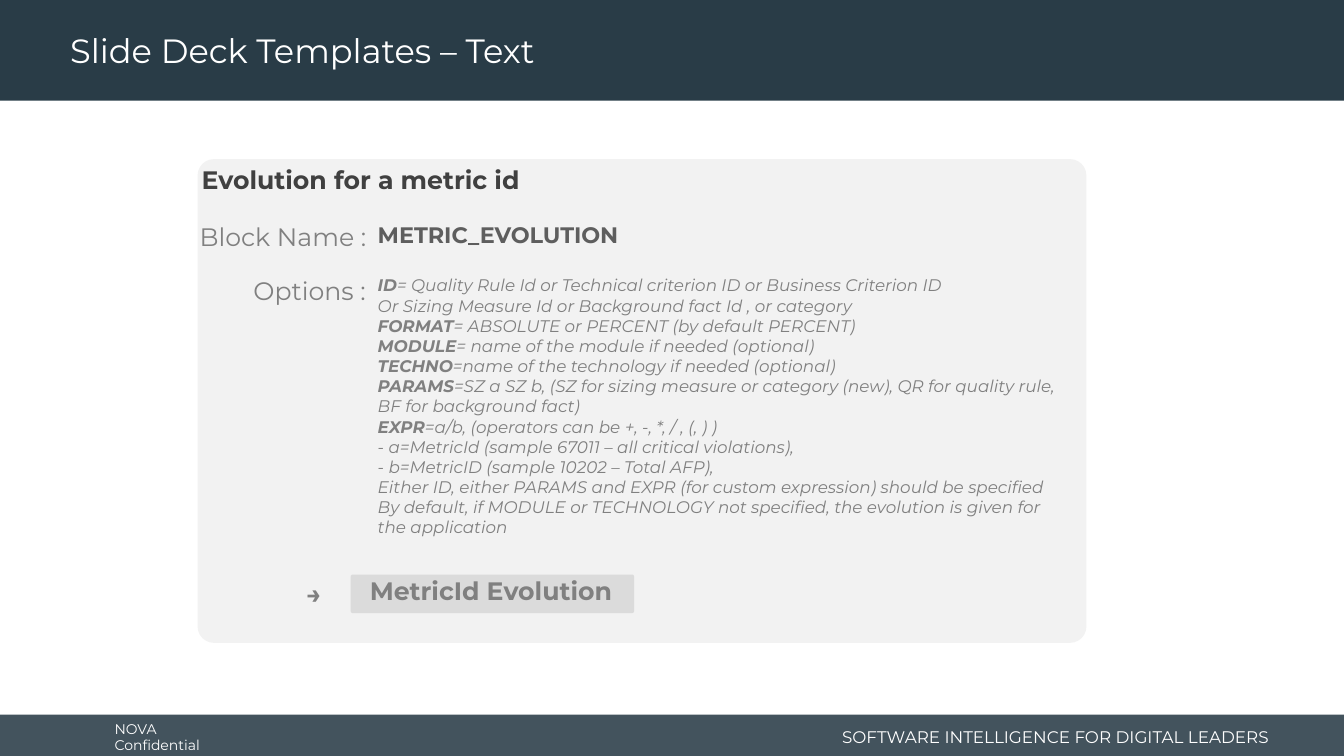
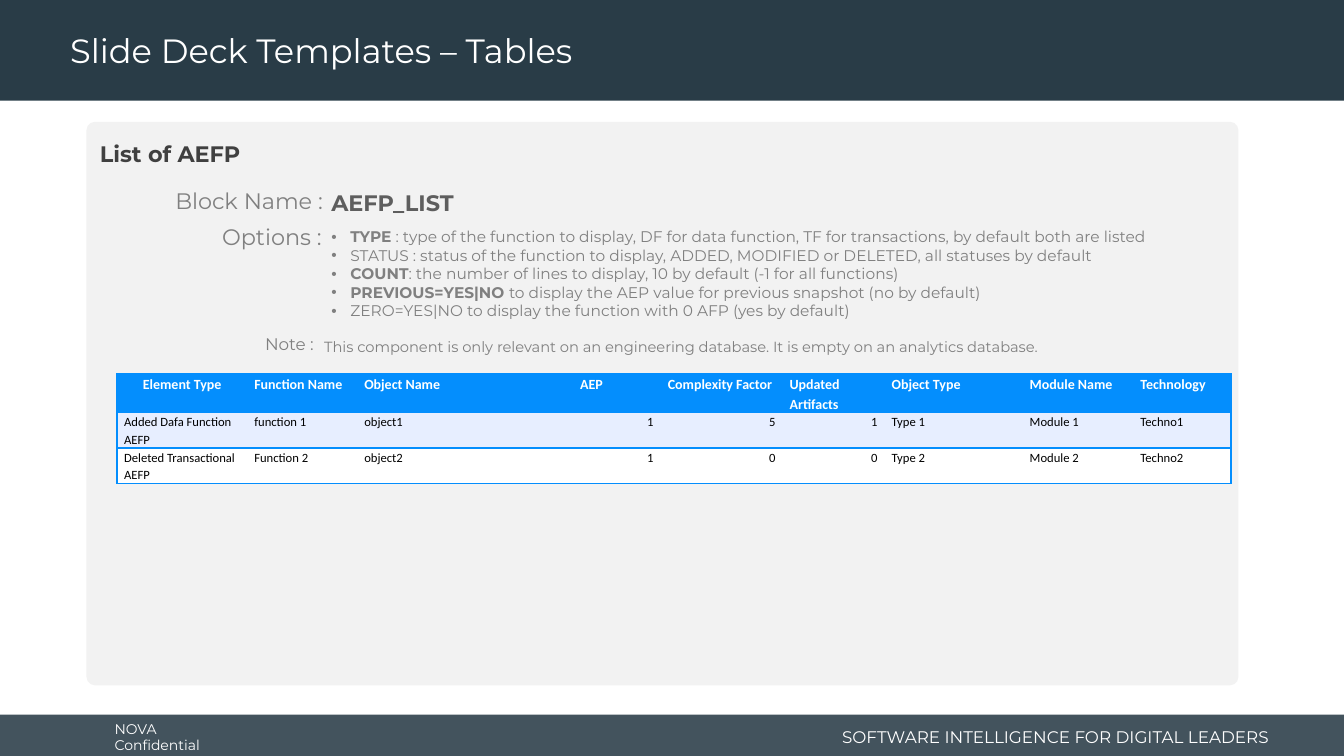
from dataclasses import dataclass

from lxml import etree
from pptx import Presentation
from pptx import dml, oxml, util as u
from pptx.dml import color as dml_color
from pptx.enum import shapes, text
from pptx.oxml import ns
from pptx.slide import Slide
from pptx.table import _Cell
from pptx.text.text import TextFrame, _Paragraph

NAVY, WHITE, BLACK = "293C47", "FFFFFF", "000000"
PANEL, RESULT = "F2F2F2", "BFBFBF"
HEADING, BLOCK, BODY = "404040", "5E5E5E", "808080"
TABLE_BLUE, TABLE_TINT = "048EFD", "E7EEFF"
BODY_FONT, TABLE_FONT = "Montserrat", "Calibri"
LEFT, CENTER, RIGHT = text.PP_ALIGN.LEFT, text.PP_ALIGN.CENTER, text.PP_ALIGN.RIGHT
WIDTH, HEIGHT = 33.87, 19.05
NO_STYLE = "{2D5ABB26-0587-4C30-8999-92F81FD0307C}"

Box = tuple[float, float, float, float]
Line = tuple[str, str]


@dataclass(frozen=True)
class Style:
    size: float
    color: str = BODY
    bold: bool = False
    italic: bool = False
    align: text.PP_ALIGN = LEFT
    font: str = BODY_FONT
    spacing: float | None = None


@dataclass(frozen=True)
class Label:
    box: Box
    lines: tuple[Line, ...]
    style: Style
    wrap: bool = True
    middle: bool = False
    bullets: bool = False
    side_inset: float = 0.25


@dataclass(frozen=True)
class Block:
    box: Box
    color: str
    corner: float = 0
    opacity: int = 100


@dataclass(frozen=True)
class Column:
    width: float
    cells: tuple[str, str, str]
    align: text.PP_ALIGN = LEFT
    header_align: text.PP_ALIGN = LEFT


def rgb(value: str) -> dml_color.RGBColor:
    return dml_color.RGBColor.from_string(value)


def plain(content: str) -> tuple[Line, ...]:
    return (("", content),)


def draw_block(slide: Slide, block: Block) -> None:
    kind = shapes.MSO_SHAPE.ROUNDED_RECTANGLE if block.corner else shapes.MSO_SHAPE.RECTANGLE
    shape = slide.shapes.add_shape(kind, *map(u.Cm, block.box))
    if block.corner:
        shape.adjustments[0] = block.corner
    shape.shadow.inherit = False
    shape.line.fill.background()
    shape.fill.solid()
    shape.fill.fore_color.rgb = rgb(block.color)
    if block.opacity < 100:
        fill_color = shape._element.spPr.find(".//" + ns.qn("a:srgbClr"))
        etree.SubElement(fill_color, ns.qn("a:alpha"), val=str(block.opacity * 1000))


def add_bullet(paragraph: _Paragraph) -> None:
    properties = paragraph._p.get_or_add_pPr()
    indent = u.Cm(0.48)
    properties.set("marL", str(indent))
    properties.set("indent", str(-indent))
    etree.SubElement(properties, ns.qn("a:buFont"), typeface="Arial")
    etree.SubElement(properties, ns.qn("a:buChar"), char="•")


def write_line(paragraph: _Paragraph, line: Line, style: Style) -> None:
    paragraph.alignment = style.align
    if style.spacing:
        paragraph.line_spacing = style.spacing
    font = paragraph.font
    font.name, font.size = style.font, u.Pt(style.size)
    font.bold, font.italic = style.bold, style.italic
    font.color.rgb = rgb(style.color)
    keyword, rest = line
    if keyword:
        run = paragraph.add_run()
        run.text = keyword
        run.font.bold = True
    if rest:
        paragraph.add_run().text = rest


def write_lines(frame: TextFrame, label: Label) -> None:
    for index, line in enumerate(label.lines):
        paragraph = frame.add_paragraph() if index else frame.paragraphs[0]
        if label.bullets:
            add_bullet(paragraph)
        write_line(paragraph, line, label.style)


def draw_label(slide: Slide, label: Label) -> None:
    frame = slide.shapes.add_textbox(*map(u.Cm, label.box)).text_frame
    frame.word_wrap = label.wrap
    frame.margin_left = frame.margin_right = u.Cm(label.side_inset)
    if label.middle:
        frame.vertical_anchor = text.MSO_ANCHOR.MIDDLE
    else:
        frame.auto_size = text.MSO_AUTO_SIZE.SHAPE_TO_FIT_TEXT
    write_lines(frame, label)


def add_border(cell: _Cell, side: str) -> None:
    border = etree.SubElement(cell._tc.get_or_add_tcPr(), ns.qn(f"a:ln{side}"), w=str(u.Pt(1)))
    fill = etree.SubElement(border, ns.qn("a:solidFill"))
    etree.SubElement(fill, ns.qn("a:srgbClr"), val=TABLE_BLUE)


def draw_table(slide: Slide, left: float, top: float, columns: tuple[Column, ...],
               row_heights: tuple[float, ...]) -> None:
    header = Style(10, WHITE, bold=True, font=TABLE_FONT, spacing=1.15)
    row_fills = (TABLE_BLUE, TABLE_TINT, WHITE)
    total = sum(column.width for column in columns)
    table = slide.shapes.add_table(len(row_heights), len(columns), u.Cm(left), u.Cm(top),
                                   u.Cm(total), u.Cm(sum(row_heights))).table
    table._tbl.tblPr.find(ns.qn("a:tableStyleId")).text = NO_STYLE
    for row, height in zip(table.rows, row_heights):
        row.height = u.Cm(height)
    for position, column in enumerate(columns):
        table.columns[position].width = u.Cm(column.width)
        sides = ("L" if position == 0 else "") + ("R" if position == len(columns) - 1 else "") + "TB"
        for row_index, content in enumerate(column.cells):
            cell = table.cell(row_index, position)
            for side in sides:
                add_border(cell, side)
            cell.fill.solid()
            cell.fill.fore_color.rgb = rgb(row_fills[row_index])
            cell.margin_left = cell.margin_right = u.Cm(0.18)
            cell.margin_top = cell.margin_bottom = 0
            if row_index:
                style = Style(9, BLACK, align=column.align, font=TABLE_FONT, spacing=1.15)
            else:
                style = Style(header.size, header.color, True, align=column.header_align,
                              font=TABLE_FONT, spacing=1.15)
            write_line(cell.text_frame.paragraphs[0], ("", content), style)


def start_slide(deck: Presentation, title: str) -> Slide:
    slide = deck.slides.add_slide(deck.slide_layouts[6])
    draw_block(slide, Block((0, 18.01, WIDTH, 1.04), NAVY, opacity=88))
    draw_block(slide, Block((0, 0, WIDTH, 2.54), NAVY))
    draw_label(slide, Label((2.64, 18.06, 3.76, 1.02), plain("NOVA Confidential"),
                            Style(10, WHITE), wrap=False, middle=True))
    draw_label(slide, Label((20.6, 18.16, 11.63, 0.81),
                            plain("SOFTWARE INTELLIGENCE FOR DIGITAL LEADERS"),
                            Style(12, WHITE, align=RIGHT), middle=True))
    draw_label(slide, Label((1.52, 0.1, 24.33, 2.44), plain(title),
                            Style(24, WHITE, spacing=0.9), middle=True))
    return slide


def caption(box: Box, content: str, size: float) -> Label:
    return Label(box, plain(content), Style(size, align=RIGHT), wrap=False)


def heading(box: Box, content: str, size: float) -> Label:
    return Label(box, plain(content), Style(size, HEADING, bold=True), side_inset=0.51)


def block_name(box: Box, content: str) -> Label:
    return Label(box, plain(content), Style(16, BLOCK, bold=True))


METRIC_OPTIONS: tuple[Line, ...] = (
    ("ID", "= Quality Rule Id or Technical criterion ID or Business Criterion ID"),
    ("", "Or Sizing Measure Id or Background fact Id , or category"),
    ("FORMAT", "= ABSOLUTE or PERCENT (by default PERCENT)"),
    ("MODULE", "= name of the module if needed (optional)"),
    ("TECHNO", "=name of the technology if needed (optional)"),
    ("PARAMS", "=SZ a SZ b, (SZ for sizing measure or category (new), QR for quality rule, "
               "BF for background fact)"),
    ("EXPR", "=a/b, (operators can be +, -, *, / , (, ) )"),
    ("", "- a=MetricId (sample 67011 – all critical violations),"),
    ("", "- b=MetricID (sample 10202 – Total AFP),"),
    ("", "Either ID, either PARAMS and EXPR (for custom expression) should be specified"),
    ("", "By default, if MODULE or TECHNOLOGY not specified, the evolution is given for "
         "the application"),
)

AEFP_OPTIONS: tuple[Line, ...] = (
    ("TYPE", " : type of the function to display, DF for data function, TF for transactions, "
             "by default both are listed"),
    ("", "STATUS : status of the function to display, ADDED, MODIFIED or DELETED, "
         "all statuses by default"),
    ("COUNT", ": the number of lines to display, 10 by default (-1 for all functions)"),
    ("PREVIOUS=YES|NO ", "to display the AEP value for previous snapshot (no by default)"),
    ("", "ZERO=YES|NO to display the function with 0 AFP (yes by default)"),
)

AEFP_COLUMNS = (
    Column(3.28, ("Element Type", "Added Dafa Function AEFP", "Deleted Transactional AEFP"),
           header_align=CENTER),
    Column(2.77, ("Function Name", "function 1", "Function 2")),
    Column(5.44, ("Object Name", "object1", "object2")),
    Column(2.21, ("AEP", "1", "1"), RIGHT),
    Column(3.07, ("Complexity Factor", "5", "0"), RIGHT),
    Column(2.57, ("Updated Artifacts", "1", "0"), RIGHT),
    Column(3.48, ("Object Type", "Type 1", "Type 2")),
    Column(2.79, ("Module Name", "Module 1", "Module 2")),
    Column(2.46, ("Technology", "Techno1", "Techno2")),
)


def build_text_slide(deck: Presentation) -> None:
    slide = start_slide(deck, "Slide Deck Templates – Text")
    result_style = Style(18, bold=True)
    draw_block(slide, Block((4.98, 4.01, 22.4, 12.19), PANEL, 0.034))
    draw_block(slide, Block((8.84, 14.48, 7.14, 0.97), RESULT, 0.049, 45))
    for label in (
        heading((4.57, 4.01, 11.99, 1.52), "Evolution for a metric id", 18),
        caption((4.78, 5.44, 4.7, 1.52), "Block Name :", 18),
        block_name((9.27, 5.46, 15.72, 1.4), "METRIC_EVOLUTION"),
        caption((6.07, 6.81, 3.4, 1.52), "Options :", 18),
        Label((9.27, 6.81, 17.73, 6.93), METRIC_OPTIONS, Style(12, italic=True)),
        Label((7.47, 14.45, 1.22, 1.65), plain("→"), result_style),
        Label((9.07, 14.38, 7.59, 1.04), plain("MetricId Evolution"), result_style),
    ):
        draw_label(slide, label)


def build_table_slide(deck: Presentation) -> None:
    slide = start_slide(deck, "Slide Deck Templates – Tables")
    draw_block(slide, Block((2.18, 3.07, 29.03, 14.2), PANEL, 0.015))
    for label in (
        heading((2.01, 3.4, 28.98, 0.94), "List of AEFP", 16),
        caption((2.95, 4.6, 5.44, 0.94), "Block Name :", 16),
        block_name((8.1, 4.65, 23.6, 0.94), "AEFP_LIST"),
        caption((4.42, 5.51, 3.94, 0.94), "Options :", 16),
        Label((8.1, 5.61, 23.22, 3.45), AEFP_OPTIONS, Style(11), bullets=True),
        caption((6.38, 8.28, 1.78, 0.76), "Note :", 12),
        Label((7.92, 8.38, 19.43, 0.74),
              plain("This component is only relevant on an engineering database. "
                    "It is empty on an analytics database."), Style(10.5)),
    ):
        draw_label(slide, label)
    draw_table(slide, 2.95, 9.42, AEFP_COLUMNS, (0.98, 0.89, 0.89))


def main() -> None:
    deck = Presentation()
    deck.slide_width, deck.slide_height = u.Cm(WIDTH), u.Cm(HEIGHT)
    build_text_slide(deck)
    build_table_slide(deck)
    deck.save("out.pptx")


if __name__ == "__main__":
    main()
